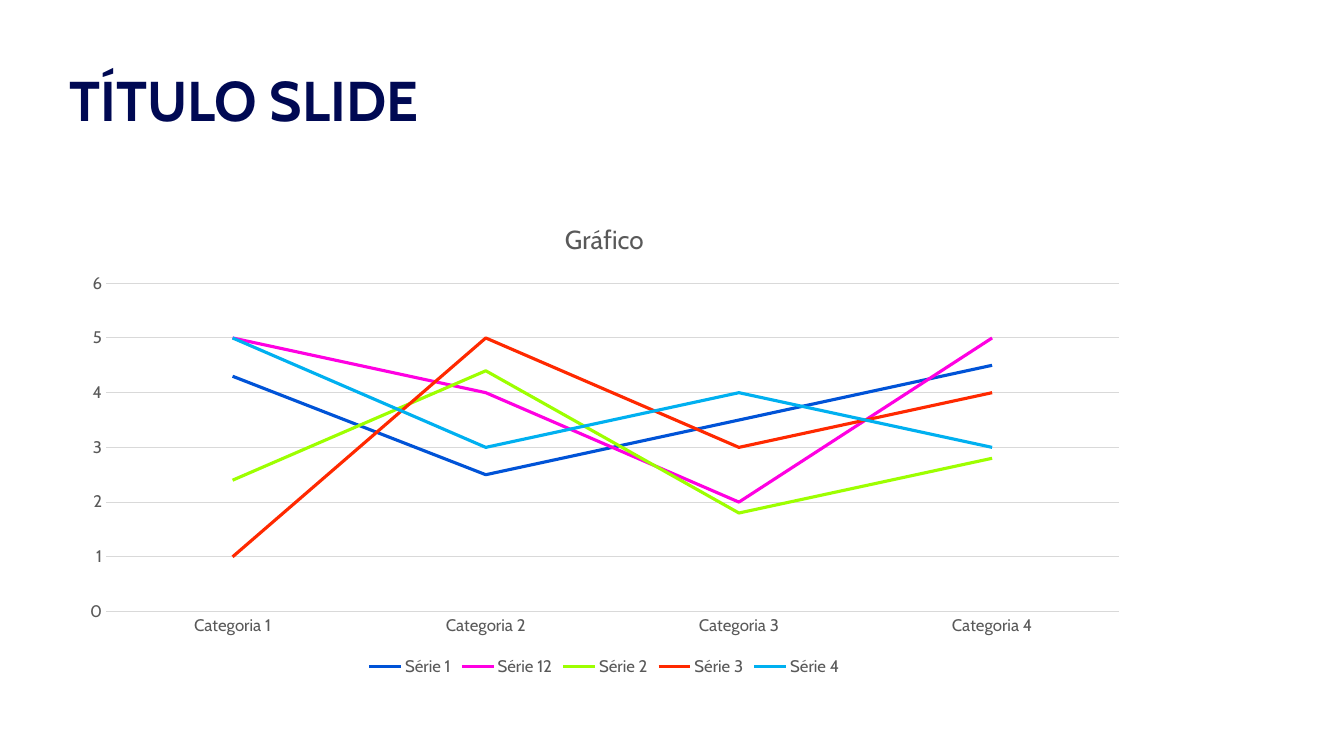
"""Build a slide with a title and a line chart of five series."""
from pptx import Presentation
from pptx.chart.data import CategoryChartData
from pptx.dml.color import RGBColor
from pptx.enum.chart import XL_CHART_TYPE, XL_LEGEND_POSITION, XL_MARKER_STYLE, XL_TICK_MARK
from pptx.enum.text import MSO_ANCHOR, PP_ALIGN
from pptx.util import Pt

LINE_CHART = XL_CHART_TYPE.LINE
LEGEND_BOTTOM = XL_LEGEND_POSITION.BOTTOM
NO_MARKER = XL_MARKER_STYLE.NONE
NO_TICK = XL_TICK_MARK.NONE
MIDDLE = MSO_ANCHOR.MIDDLE
LEFT = PP_ALIGN.LEFT

COLORS = {
    "title": "000953",
    "text": "595959",
    "grid": "D9D9D9",
    "Série 1": "0053D7",
    "Série 12": "FF00E2",
    "Série 2": "9DFF00",
    "Série 3": "FF2900",
    "Série 4": "00B0F0",
}
CATEGORIES = [f"Categoria {number}" for number in range(1, 5)]
SERIES = {
    "Série 1": (4.3, 2.5, 3.5, 4.5),
    "Série 12": (5, 4, 2, 5),
    "Série 2": (2.4, 4.4, 1.8, 2.8),
    "Série 3": (1, 5, 3, 4),
    "Série 4": (5, 3, 4, 3),
}


class SlideBuilder:
    """Hold the style and the current slide."""

    font_name = "Cabin"

    def __init__(self, slide):
        self.slide = slide

    def style_font(self, font, size, color, bold=False):
        font.name = self.font_name
        font.size = Pt(size)
        font.bold = bold
        font.color.rgb = RGBColor.from_string(COLORS[color])

    def style_line(self, line, color, width):
        line.color.rgb = RGBColor.from_string(COLORS[color])
        line.width = Pt(width)

    def add_title(self, text, left, top, width, height, indent):
        shape = self.slide.shapes.add_textbox(Pt(left), Pt(top), Pt(width), Pt(height))
        text_frame = shape.text_frame
        text_frame.word_wrap = True
        text_frame.vertical_anchor = MIDDLE
        text_frame.margin_left = Pt(indent)
        text_frame.text = text
        paragraph = text_frame.paragraphs[0]
        paragraph.alignment = LEFT
        paragraph.line_spacing = 0.9
        self.style_font(paragraph.runs[0].font, 40, "title", bold=True)

    def add_line_chart(self, title, categories, series_values, left, top, width, height):
        data = CategoryChartData()
        data.categories = categories
        for name, values in series_values.items():
            data.add_series(name, values)
        chart = self.slide.shapes.add_chart(
            LINE_CHART, Pt(left), Pt(top), Pt(width), Pt(height), data
        ).chart
        self.style_font(chart.font, 12, "text")

        chart.has_title = True
        chart.chart_title.include_in_layout = False
        title_frame = chart.chart_title.text_frame
        title_frame.text = title
        self.style_font(title_frame.paragraphs[0].runs[0].font, 18.6, "text")

        chart.has_legend = True
        chart.legend.position = LEGEND_BOTTOM
        chart.legend.include_in_layout = False
        self.style_font(chart.legend.font, 12, "text")

        category_axis, value_axis = chart.category_axis, chart.value_axis
        for axis in (category_axis, value_axis):
            axis.major_tick_mark = NO_TICK
            axis.minor_tick_mark = NO_TICK
            self.style_font(axis.tick_labels.font, 12, "text")
        self.style_line(category_axis.format.line, "grid", 0.75)
        value_axis.minimum_scale = 0
        value_axis.maximum_scale = 6
        value_axis.major_unit = 1
        value_axis.format.line.fill.background()
        self.style_line(value_axis.major_gridlines.format.line, "grid", 0.75)

        plot = chart.plots[0]
        plot.vary_by_categories = False
        for series in plot.series:
            series.smooth = False
            series.marker.style = NO_MARKER
            self.style_line(series.format.line, series.name, 2.25)


def main():
    presentation = Presentation()
    presentation.slide_width = Pt(960)
    presentation.slide_height = Pt(540)
    slide = presentation.slides.add_slide(presentation.slide_layouts[6])
    builder = SlideBuilder(slide)
    builder.add_title("TÍTULO SLIDE", 0, 21.6, 899.3, 104.4, indent=49.7)
    builder.add_line_chart("Gráfico", CATEGORIES, SERIES, 49, 144, 765.4, 342)
    presentation.save("out.pptx")


if __name__ == "__main__":
    main()
